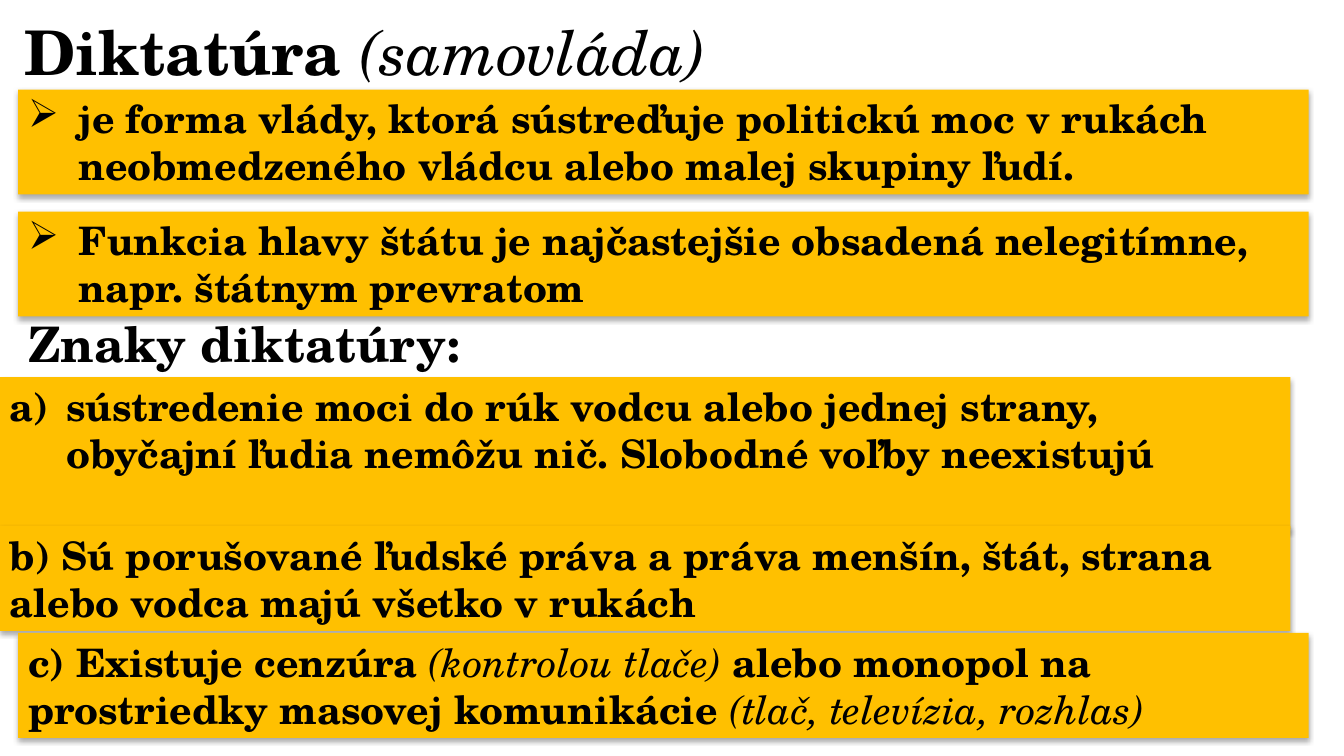
import pptx
import pptx.util
import pptx.dml.color
import pptx.enum.shapes
import pptx.enum.text
import pptx.oxml
import pptx.oxml.ns

Inches = pptx.util.Inches
COLORS = {"gold": "FFC000", "ink": "000000"}
SPACE = pptx.oxml.ns.nsdecls("a")


class Deck:
    font = "TeX Gyre Schola"

    def __init__(self):
        self.show = pptx.Presentation()
        self.show.slide_width = Inches(13.33)
        self.show.slide_height = Inches(7.5)
        self.slide = self.show.slides.add_slide(self.show.slide_layouts[5])

    def color(self, name):
        return pptx.dml.color.RGBColor.from_string(COLORS[name])

    def fill(self, shape, runs, size, middle=False):
        frame = shape.text_frame
        frame.word_wrap = True
        frame.auto_size = pptx.enum.text.MSO_AUTO_SIZE.NONE
        anchor = pptx.enum.text.MSO_ANCHOR
        frame.vertical_anchor = anchor.MIDDLE if middle else anchor.TOP
        para = frame.paragraphs[0]
        para.alignment = pptx.enum.text.PP_ALIGN.LEFT
        para.line_spacing = 0.9 if middle else 1.0
        for text, strong in runs:
            run = para.add_run()
            run.text = text
            run.font.name = self.font
            run.font.size = pptx.util.Pt(size)
            run.font.bold = strong
            run.font.italic = not strong
            run.font.color.rgb = self.color("ink")
        return para

    def title(self, left, top, width, height, runs, size):
        shape = self.slide.shapes.title
        shape.left, shape.top = Inches(left), Inches(top)
        shape.width, shape.height = Inches(width), Inches(height)
        self.fill(shape, runs, size, True)

    def label(self, left, top, width, height, runs, size):
        shape = self.slide.shapes.add_textbox(
            Inches(left), Inches(top), Inches(width), Inches(height))
        self.fill(shape, runs, size, True)

    def panel(self, left, top, height, runs, mark=None, indent=0):
        shape = self.slide.shapes.add_shape(
            pptx.enum.shapes.MSO_SHAPE.RECTANGLE,
            Inches(left), Inches(top), Inches(12.8), Inches(height))
        shape.fill.solid()
        shape.fill.fore_color.rgb = self.color("gold")
        shape.line.fill.background()
        self.shade(shape)
        para = self.fill(shape, runs, 28)
        if mark:
            self.bullet(para, mark, indent)

    def shade(self, shape):
        shape.shadow.inherit = False
        effects = shape._element.spPr.find(pptx.oxml.ns.qn("a:effectLst"))
        effects.append(pptx.oxml.parse_xml(
            f'<a:outerShdw {SPACE} blurRad="{pptx.util.Pt(3.5)}" '
            f'dist="{pptx.util.Pt(2.2)}" dir="5400000" algn="ctr" rotWithShape="0">'
            f'<a:srgbClr val="{COLORS["ink"]}"><a:alpha val="32000"/></a:srgbClr>'
            '</a:outerShdw>'))

    def bullet(self, para, mark, indent):
        props = para._p.get_or_add_pPr()
        props.set("marL", str(Inches(indent)))
        props.set("indent", str(-Inches(indent)))
        props.append(pptx.oxml.parse_xml(mark))


def main():
    arrow = f'<a:buChar {SPACE} char="➢"/>'
    letter = f'<a:buAutoNum {SPACE} type="alphaLcParenR"/>'
    deck = Deck()
    deck.title(0.14, 0.05, 11.5, 1,
               [("Diktatúra ", True), ("(samovláda)", False)], 44)
    deck.panel(0.18, 0.89, 1.04, [(
        "je forma vlády, ktorá sústreďuje politickú moc v rukách "
        "neobmedzeného vládcu alebo malej skupiny ľudí.", True)], arrow, 0.5)
    deck.panel(0.18, 2.1, 1.04, [(
        "Funkcia hlavy štátu je najčastejšie obsadená nelegitímne, "
        "napr. štátnym prevratom", True)], arrow, 0.5)
    deck.label(0.18, 2.94, 11.5, 1, [("Znaky diktatúry:", True)], 35)
    deck.panel(0, 3.74, 1.51, [(
        "sústredenie moci do rúk vodcu alebo jednej strany, "
        "obyčajní ľudia nemôžu nič. Slobodné voľby neexistujú", True)], letter, 0.56)
    deck.panel(0, 5.22, 1.04, [(
        "b) Sú porušované ľudské práva a práva menšín, štát, strana "
        "alebo vodca majú všetko v rukách", True)])
    deck.panel(0.18, 6.28, 1.04, [
        ("c) Existuje cenzúra ", True),
        ("(kontrolou tlače) ", False),
        ("alebo monopol na prostriedky masovej komunikácie ", True),
        ("(tlač, televízia, rozhlas)", False)])
    deck.show.save("out.pptx")


if __name__ == "__main__":
    main()
